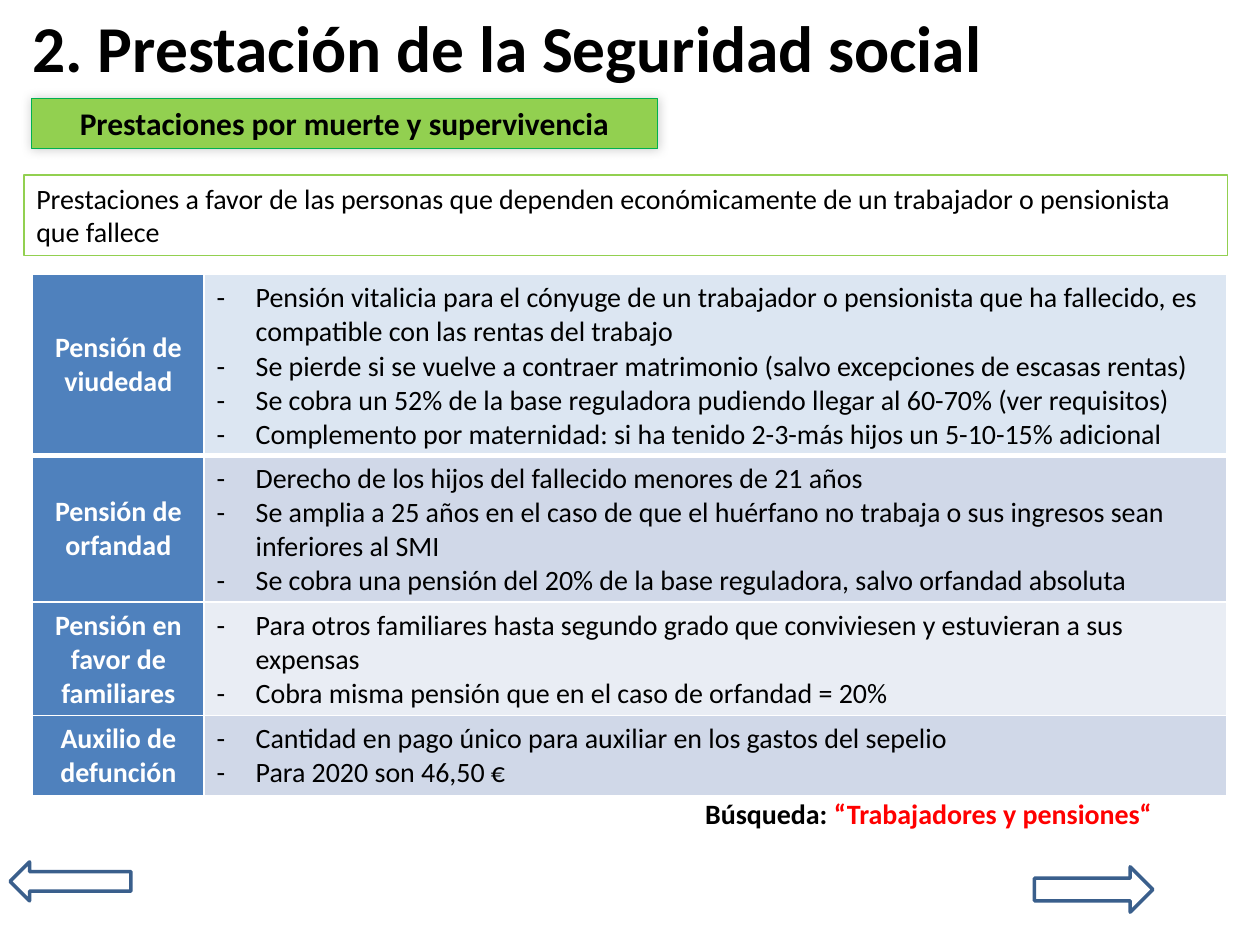
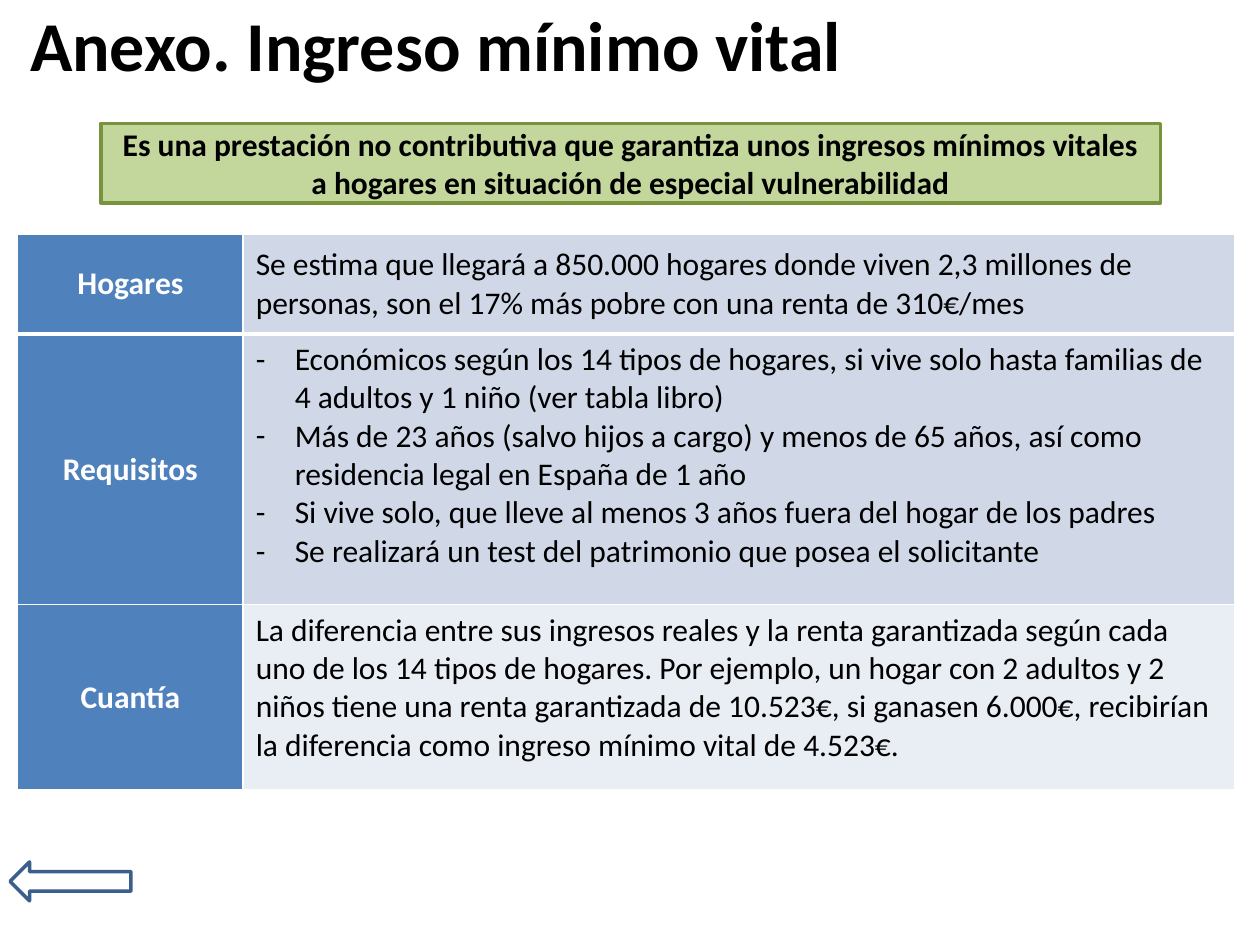
from dataclasses import dataclass
from lxml.etree import SubElement
from pptx import Presentation
from pptx.dml.color import RGBColor
from pptx.enum.shapes import MSO_SHAPE
from pptx.enum.text import MSO_ANCHOR, PP_ALIGN
from pptx.oxml.ns import qn
from pptx.util import Inches, Pt


@dataclass(frozen=True)
class Theme:
    font: str = "Calibri"
    ink: str = "000000"
    white: str = "FFFFFF"
    red: str = "FF0000"
    lime: str = "92D050"
    green: str = "00B050"
    sage: str = "C3D69B"
    olive: str = "77933C"
    arrow: str = "3A5F8C"
    head: str = "4F81BD"
    pale: str = "DCE6F2"
    band: str = "D0D8E8"
    light: str = "E9EDF4"
    large: float = 18
    body: float = 16
    indent: float = 0.31


THEME = Theme()


def rgb(value):
    return RGBColor.from_string(value)


def style(para, size, color=THEME.ink, bold=False, align=PP_ALIGN.LEFT):
    para.alignment = align
    para.font.name = THEME.font
    para.font.size = Pt(size)
    para.font.bold = bold
    para.font.color.rgb = rgb(color)


def add_dash(para):
    """Hanging indent with a dash as the bullet."""
    properties = para._p.get_or_add_pPr()
    properties.set("marL", str(Inches(THEME.indent)))
    properties.set("indent", str(-Inches(THEME.indent)))
    # The bullet goes ahead of the paragraph's default run properties
    bullet_font = SubElement(properties, qn("a:buFont"), typeface=THEME.font)
    bullet = SubElement(properties, qn("a:buChar"), char="-")
    defaults = properties.find(qn("a:defRPr"))
    if defaults is not None:
        defaults.addprevious(bullet_font)
        defaults.addprevious(bullet)


def add_text(page, place, text, size, bold=True, align=PP_ALIGN.LEFT,
             wrap=True, anchor=MSO_ANCHOR.TOP):
    box = page.shapes.add_textbox(*map(Inches, place))
    frame = box.text_frame
    frame.word_wrap = wrap
    frame.vertical_anchor = anchor
    para = frame.paragraphs[0]
    para.text = text
    style(para, size, bold=bold, align=align)
    return para


def add_title(page, left, top, text, size):
    add_text(page, (left, top, 9.42, 0.63), text, size, anchor=MSO_ANCHOR.MIDDLE)


def add_outline(page, kind, place, line, width, fill=None):
    box = page.shapes.add_shape(kind, *map(Inches, place))
    box.shadow.inherit = False
    if fill:
        box.fill.solid()
        box.fill.fore_color.rgb = rgb(fill)
    else:
        box.fill.background()
    box.line.color.rgb = rgb(line)
    box.line.width = Pt(width)
    return box


def add_box(page, place, text, size, line, width, fill=None, bold=True,
            align=PP_ALIGN.CENTER, anchor=MSO_ANCHOR.TOP):
    box = add_outline(page, MSO_SHAPE.RECTANGLE, place, line, width, fill)
    box.text_frame.word_wrap = True
    box.text_frame.vertical_anchor = anchor
    para = box.text_frame.paragraphs[0]
    para.text = text
    style(para, size, bold=bold, align=align)
    return box


def add_soft_shadow(box):
    effects = box._element.spPr.find(qn("a:effectLst"))
    shadow = SubElement(effects, qn("a:outerShdw"), blurRad=str(Pt(6)),
                        dist="0", dir=str(225 * 60000))
    color = SubElement(shadow, qn("a:srgbClr"), val=THEME.ink)
    SubElement(color, qn("a:alpha"), val="20000")


def add_arrow(page, kind, place):
    add_outline(page, kind, place, THEME.arrow, 2)


def add_back_arrow(page):
    add_arrow(page, MSO_SHAPE.LEFT_ARROW, (0.08, 6.84, 0.96, 0.31))


def set_borders(cell, top, bottom):
    properties = cell._tc.get_or_add_tcPr()
    for side, width in (("L", 1), ("R", 1), ("T", top), ("B", bottom)):
        line = SubElement(properties, qn("a:ln" + side), w=str(Pt(width)))
        fill = SubElement(line, qn("a:solidFill"))
        SubElement(fill, qn("a:srgbClr"), val=THEME.white)


def fill_cell(cell, lines, size, fill, anchor, color=THEME.ink, bold=False,
              align=PP_ALIGN.LEFT, dashed=False):
    cell.fill.solid()
    cell.fill.fore_color.rgb = rgb(fill)
    cell.vertical_anchor = anchor
    cell.text = "\n".join(lines)
    for para in cell.text_frame.paragraphs:
        style(para, size, color, bold, align)
        if dashed:
            add_dash(para)


def add_benefit_table(page, left, top, widths, size, rows):
    """Each row: height, heading, lines, fill, anchor, dashed."""
    height = sum(row[0] for row in rows)
    table = page.shapes.add_table(
        len(rows), 2, *map(Inches, (left, top, sum(widths), height))).table
    table.first_row = table.horz_banding = False
    for column, width in zip(table.columns, widths):
        column.width = Inches(width)
    for index, (height, heading, lines, fill, anchor, dashed) in enumerate(rows):
        table.rows[index].height = Inches(height)
        head, body = table.cell(index, 0), table.cell(index, 1)
        for cell in (head, body):
            # A thick rule parts the first row from the rest
            set_borders(cell, 3 if index == 1 else 1, 3 if index == 0 else 1)
        fill_cell(head, [heading], size, THEME.head, MSO_ANCHOR.MIDDLE,
                  THEME.white, True, PP_ALIGN.CENTER)
        fill_cell(body, lines, size, fill, anchor, dashed=dashed)


def build_survivor_page(page):
    add_title(page, 0.16, 0.05, "2. Prestación de la Seguridad social", 37.4)

    # Navigation
    add_back_arrow(page)
    add_arrow(page, MSO_SHAPE.RIGHT_ARROW, (8.21, 6.88, 0.94, 0.36))

    # Heading, search hint and definition
    heading = add_box(page, (0.25, 0.78, 4.97, 0.4),
                      "Prestaciones por muerte y supervivencia", THEME.large,
                      THEME.green, 0.75, THEME.lime)
    add_soft_shadow(heading)
    search = add_text(page, (5.47, 6.27, 3.8, 0.37), "Búsqueda: ", THEME.body,
                      align=PP_ALIGN.CENTER, wrap=False)
    span = search.add_run()
    span.text = "“Trabajadores y pensiones“"
    span.font.color.rgb = rgb(THEME.red)
    add_box(page, (0.19, 1.39, 9.55, 0.64),
            "Prestaciones a favor de las personas que dependen económicamente "
            "de un trabajador o pensionista que fallece", THEME.body,
            THEME.lime, 0.75, bold=False, align=PP_ALIGN.LEFT)

    # Pensions
    add_benefit_table(page, 0.26, 2.18, (1.36, 8.12), THEME.body, [
        (1.42, "Pensión de viudedad", [
            "Pensión vitalicia para el cónyuge de un trabajador o pensionista "
            "que ha fallecido, es compatible con las rentas del trabajo",
            "Se pierde si se vuelve a contraer matrimonio (salvo excepciones "
            "de escasas rentas)",
            "Se cobra un 52% de la base reguladora pudiendo llegar al 60-70% "
            "(ver requisitos)",
            "Complemento por maternidad: si ha tenido 2-3-más hijos un "
            "5-10-15% adicional",
        ], THEME.pale, MSO_ANCHOR.TOP, True),
        (1.16, "Pensión de orfandad", [
            "Derecho de los hijos del fallecido menores de 21 años",
            "Se amplia a 25 años en el caso de que el huérfano no trabaja o "
            "sus ingresos sean inferiores al SMI",
            "Se cobra una pensión del 20% de la base reguladora, salvo "
            "orfandad absoluta",
        ], THEME.band, MSO_ANCHOR.MIDDLE, True),
        (0.9, "Pensión en favor de familiares", [
            "Para otros familiares hasta segundo grado que conviviesen y "
            "estuvieran a sus expensas",
            "Cobra misma pensión que en el caso de orfandad = 20%",
        ], THEME.light, MSO_ANCHOR.MIDDLE, True),
        (0.63, "Auxilio de defunción", [
            "Cantidad en pago único para auxiliar en los gastos del sepelio",
            "Para 2020 son 46,50 €",
        ], THEME.band, MSO_ANCHOR.MIDDLE, True),
    ])


def build_income_page(page):
    add_title(page, 0.14, 0.03, "Anexo. Ingreso mínimo vital", 40)

    # Definition and navigation
    add_box(page, (0.8, 0.98, 8.41, 0.63),
            "Es una prestación no contributiva que garantiza unos ingresos "
            "mínimos vitales a hogares en situación de especial vulnerabilidad",
            THEME.large, THEME.olive, 2, THEME.sage, anchor=MSO_ANCHOR.MIDDLE)
    add_back_arrow(page)

    # Households, requirements and amount
    add_benefit_table(page, 0.14, 1.86, (1.79, 7.87), THEME.large, [
        (0.79, "Hogares", [
            "Se estima que llegará a 850.000 hogares donde viven 2,3 millones "
            "de personas, son el 17% más pobre con una renta de 310€/mes",
        ], THEME.band, MSO_ANCHOR.MIDDLE, False),
        (2.15, "Requisitos", [
            "Económicos según los 14 tipos de hogares, si vive solo hasta "
            "familias de 4 adultos y 1 niño (ver tabla libro)",
            "Más de 23 años (salvo hijos a cargo) y menos de 65 años, así "
            "como residencia legal en España de 1 año",
            "Si vive solo, que lleve al menos 3 años fuera del hogar de los "
            "padres",
            "Se realizará un test del patrimonio que posea el solicitante",
        ], THEME.band, MSO_ANCHOR.TOP, True),
        (1.47, "Cuantía", [
            "La diferencia entre sus ingresos reales y la renta garantizada "
            "según cada uno de los 14 tipos de hogares. Por ejemplo, un hogar "
            "con 2 adultos y 2 niños tiene una renta garantizada de 10.523€, "
            "si ganasen 6.000€, recibirían la diferencia como ingreso mínimo "
            "vital de 4.523€.",
        ], THEME.light, MSO_ANCHOR.TOP, False),
    ])


def main():
    deck = Presentation()
    deck.slide_width, deck.slide_height = Inches(10), Inches(7.5)
    blank = deck.slide_layouts[6]
    for build in (build_survivor_page, build_income_page):
        build(deck.slides.add_slide(blank))
    deck.save("out.pptx")


main()
